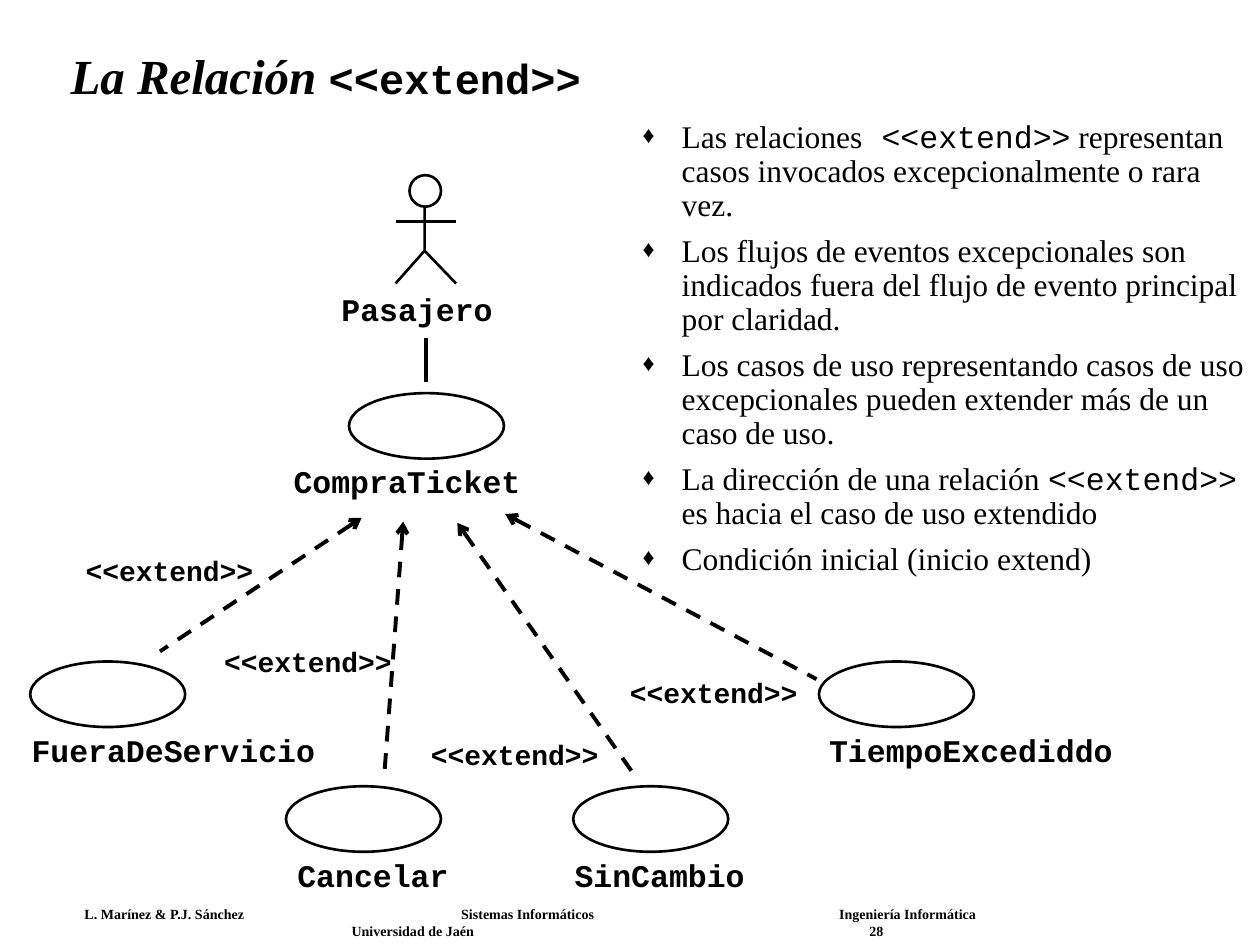
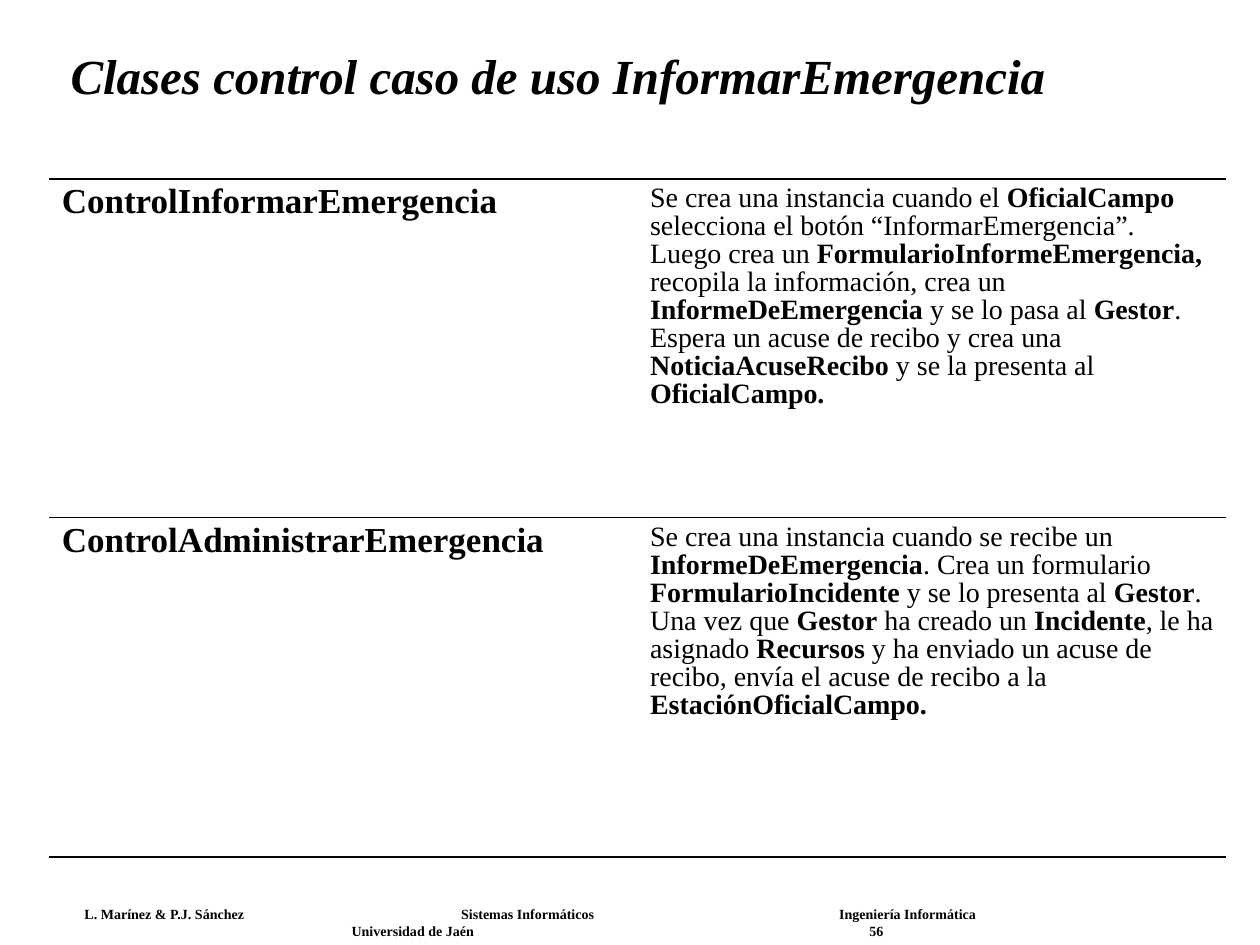
from lxml import etree
from pptx import Presentation
from pptx.dml.color import RGBColor
from pptx.enum.dml import MSO_LINE
from pptx.enum.shapes import MSO_CONNECTOR, MSO_SHAPE
from pptx.enum.text import MSO_ANCHOR, MSO_AUTO_SIZE, PP_ALIGN
from pptx.oxml.ns import qn
from pptx.util import Inches, Pt

LEFT, CENTER = PP_ALIGN.LEFT, PP_ALIGN.CENTER
MIDDLE, TOP = MSO_ANCHOR.MIDDLE, MSO_ANCHOR.TOP
NO_AUTOFIT = MSO_AUTO_SIZE.NONE
STRAIGHT, OVAL, DASH = MSO_CONNECTOR.STRAIGHT, MSO_SHAPE.OVAL, MSO_LINE.DASH

INK, PAPER = "000000", "FFFFFF"
SERIF, MONO = "Times New Roman", "Courier New"
TITLE_ONLY, TITLE_AND_BODY = 5, 1


def add_text(para, text, size=18, font=SERIF, bold=False, italic=False,
             align=LEFT, spacing=1.0, before=0, accent=None):
    """Write text in a paragraph; parts between asterisks take the accent format."""
    para.alignment = align
    para.line_spacing = spacing
    para.space_before = Pt(before)
    base = {"size": size, "font": font, "bold": bold, "italic": italic}
    for index, part in enumerate(text.split("*")):
        if not part:
            continue
        look = {**base, **(accent or {})} if index % 2 else base
        span = para.add_run()
        span.text = part
        span.font.name = look["font"]
        span.font.size = Pt(look["size"])
        span.font.bold = look["bold"]
        span.font.italic = look["italic"]
        span.font.color.rgb = RGBColor.from_string(INK)


def draw_outline(shape, width=1.5):
    """Give a shape or connector a plain ink line without a shadow."""
    shape.line.color.rgb = RGBColor.from_string(INK)
    shape.line.width = Pt(width)
    etree.SubElement(shape._element.spPr, qn("a:effectLst"))


deck = Presentation()
deck.slide_width, deck.slide_height = Inches(10), Inches(7.5)

# Title and footer of both slides
pages = []
for layout, title, number in [
    (TITLE_AND_BODY, "La Relación *<<extend>>*", 28),
    (TITLE_ONLY, "Clases control caso de uso InformarEmergencia", 56),
]:
    page = deck.slides.add_slide(deck.slide_layouts[layout])
    pages.append(page)
    box = page.shapes.title
    box.left, box.top = Inches(0.46), Inches(0.24)
    box.width, box.height = Inches(8.92), Inches(0.77)
    box.text_frame.auto_size = NO_AUTOFIT
    box.text_frame.vertical_anchor = MIDDLE
    add_text(box.text_frame.paragraphs[0], title, size=28, bold=True, italic=True,
             spacing=0.9, accent={"font": MONO, "size": 24, "italic": False})

    footer = page.shapes.add_textbox(Inches(0.59), Inches(7.15), Inches(8.65), Inches(0.34))
    frame = footer.text_frame
    frame.word_wrap = True
    frame.margin_left = frame.margin_right = Inches(0.08)
    frame.margin_top = frame.margin_bottom = Inches(0.04)
    footer_lines = [
        ("L. Marínez & P.J. Sánchez\tSistemas Informáticos\tIngeniería Informática", (2.99, 5.99)),
        (f"\tUniversidad de Jaén\t{number}", (2.12, 6.23)),
    ]
    for index, (text, stops) in enumerate(footer_lines):
        para = frame.add_paragraph() if index else frame.paragraphs[0]
        add_text(para, text, size=8, bold=True)
        tabs = etree.SubElement(para._p.get_or_add_pPr(), qn("a:tabLst"))
        for stop in stops:
            etree.SubElement(tabs, qn("a:tab"), pos=str(Inches(stop)), algn="l")

extend_page, control_page = pages

# Slide 1: rules of the extend relation
rules = [
    "Las relaciones* <<extend>>* representan casos invocados excepcionalmente o rara vez.",
    "Los flujos de eventos excepcionales son indicados fuera del flujo de evento principal "
    "por claridad.",
    "Los casos de uso representando casos de uso excepcionales pueden extender más de un "
    "caso de uso.",
    "La dirección de una relación *<<extend>>* es hacia el caso de uso extendido",
    "Condición inicial (inicio extend)",
]
body = extend_page.placeholders[1]
body.left, body.top, body.width, body.height = Inches(5), Inches(0.91), Inches(5), Inches(5.25)
body.text_frame.auto_size = NO_AUTOFIT
for index, rule in enumerate(rules):
    para = body.text_frame.add_paragraph() if index else body.text_frame.paragraphs[0]
    add_text(para, rule, spacing=0.9, before=6.8, accent={"font": MONO})
    properties = para._p.get_or_add_pPr()
    properties.set("marL", str(Inches(0.31)))
    properties.set("indent", str(-Inches(0.31)))
    bullet_color = etree.SubElement(properties, qn("a:buClr"))
    etree.SubElement(bullet_color, qn("a:srgbClr"), val=INK)
    etree.SubElement(properties, qn("a:buSzPct"), val="75000")
    etree.SubElement(properties, qn("a:buFont"), typeface=SERIF)
    etree.SubElement(properties, qn("a:buChar"), char="♦")

# Slide 1: the actor
actor = extend_page.shapes.add_group_shape()
builder = actor.shapes.build_freeform(Inches(3.37), Inches(1.57), scale=1.0)
builder.add_line_segments([(Inches(3.37), Inches(1.99)), (Inches(3.14), Inches(2.25))], close=False)
trunk = builder.convert_to_shape()
trunk.fill.background()
draw_outline(trunk)
for x1, y1, x2, y2 in [(3.37, 1.99, 3.62, 2.25), (3.14, 1.76, 3.62, 1.76)]:
    limb = actor.shapes.add_connector(STRAIGHT, Inches(x1), Inches(y1), Inches(x2), Inches(y2))
    draw_outline(limb)
head = actor.shapes.add_shape(OVAL, Inches(3.25), Inches(1.39), Inches(0.25), Inches(0.25))
head.fill.solid()
head.fill.fore_color.rgb = RGBColor.from_string(PAPER)
draw_outline(head)

# Slide 1: use cases, each an ellipse with its name below
names = [("Pasajero", actor, 2.71, 2.3)]
for name, left, top, name_left in [
    ("CompraTicket", 2.77, 3.12, 2.33),
    ("TiempoExcediddo", 6.5, 5.25, 6.58),
    ("SinCambio", 4.55, 6.24, 4.56),
    ("FueraDeServicio", 0.24, 5.25, 0.25),
    ("Cancelar", 2.27, 6.24, 2.36),
]:
    use_case = extend_page.shapes.add_group_shape()
    ellipse = use_case.shapes.add_shape(OVAL, Inches(left), Inches(top), Inches(1.23), Inches(0.52))
    ellipse.fill.background()
    draw_outline(ellipse)
    names.append((name, use_case, name_left, top + 0.55))

for name, group, left, top in names:
    box = group.shapes.add_textbox(Inches(left), Inches(top), Inches(0.15 * len(name)), Inches(0.3))
    frame = box.text_frame
    frame.word_wrap = False
    frame.margin_left = frame.margin_right = frame.margin_top = frame.margin_bottom = 0
    add_text(frame.paragraphs[0], name, font=MONO, bold=True)

# Slide 1: relations
association = extend_page.shapes.add_connector(
    STRAIGHT, Inches(3.38), Inches(2.68), Inches(3.38), Inches(3.03))
draw_outline(association, 2.25)

for x1, y1, x2, y2, label_left, label_top in [
    (4.01, 4.08, 6.48, 5.39, 4.9, 5.31),
    (3.63, 4.15, 5.02, 6.13, 3.32, 5.8),
    (2.87, 4.11, 1.27, 5.17, 0.58, 4.34),
    (3.2, 4.14, 3.05, 6.15, 1.68, 5.06),
]:
    arrow = extend_page.shapes.add_connector(
        STRAIGHT, Inches(x1), Inches(y1), Inches(x2), Inches(y2))
    draw_outline(arrow, 2.25)
    arrow.line.dash_style = DASH
    etree.SubElement(arrow.line._get_or_add_ln(), qn("a:headEnd"), type="arrow")
    label = extend_page.shapes.add_textbox(
        Inches(label_left), Inches(label_top), Inches(1.53), Inches(0.37))
    label.text_frame.word_wrap = False
    label.text_frame.vertical_anchor = MIDDLE
    add_text(label.text_frame.paragraphs[0], "<<extend>>", size=16, font=MONO, bold=True,
             align=CENTER)

# Slide 2: table of control classes
control_classes = [
    ("ControlInformarEmergencia",
     "Se crea una instancia cuando el *OficialCampo* selecciona el botón “InformarEmergencia”. "
     "Luego crea un *FormularioInformeEmergencia, *recopila la información, crea un "
     "*InformeDeEmergencia* y se lo pasa al *Gestor*. Espera un acuse de recibo y crea una "
     "*NoticiaAcuseRecibo* y se la presenta al *OficialCampo.*"),
    ("ControlAdministrarEmergencia",
     "Se crea una instancia cuando se recibe un *InformeDeEmergencia*. Crea un formulario "
     "*FormularioIncidente* y se lo presenta al *Gestor*. Una vez que *Gestor* ha creado un "
     "*Incidente*, le ha asignado *Recursos* y ha enviado un acuse de recibo, envía el acuse "
     "de recibo a la *EstaciónOficialCampo.*"),
]
rule_widths = [1.08, 0.45, 1.08]
table = control_page.shapes.add_table(
    2, 2, Inches(0.39), Inches(1.42), Inches(9.34), Inches(5.38)).table
table.first_row = table.horz_banding = False
for row, (class_name, description) in enumerate(control_classes):
    name_cell, description_cell = table.cell(row, 0), table.cell(row, 1)
    add_text(name_cell.text_frame.paragraphs[0], class_name, size=20, bold=True,
             spacing=0.9, before=7.5)
    add_text(description_cell.text_frame.paragraphs[0], description, size=16,
             spacing=0.9, before=6, accent={"bold": True})
    for cell in (name_cell, description_cell):
        cell.margin_left = cell.margin_right = Inches(0.1)
        cell.margin_top = cell.margin_bottom = Inches(0.05)
        cell.vertical_anchor = TOP
        cell_properties = cell._tc.get_or_add_tcPr()
        for side, width in [("L", 0), ("R", 0), ("T", rule_widths[row]), ("B", rule_widths[row + 1])]:
            border = etree.SubElement(cell_properties, qn(f"a:ln{side}"), w=str(Pt(width)))
            if width:
                fill = etree.SubElement(border, qn("a:solidFill"))
                etree.SubElement(fill, qn("a:srgbClr"), val=INK)
            else:
                etree.SubElement(border, qn("a:noFill"))
        cell.fill.background()

deck.save("out.pptx")
